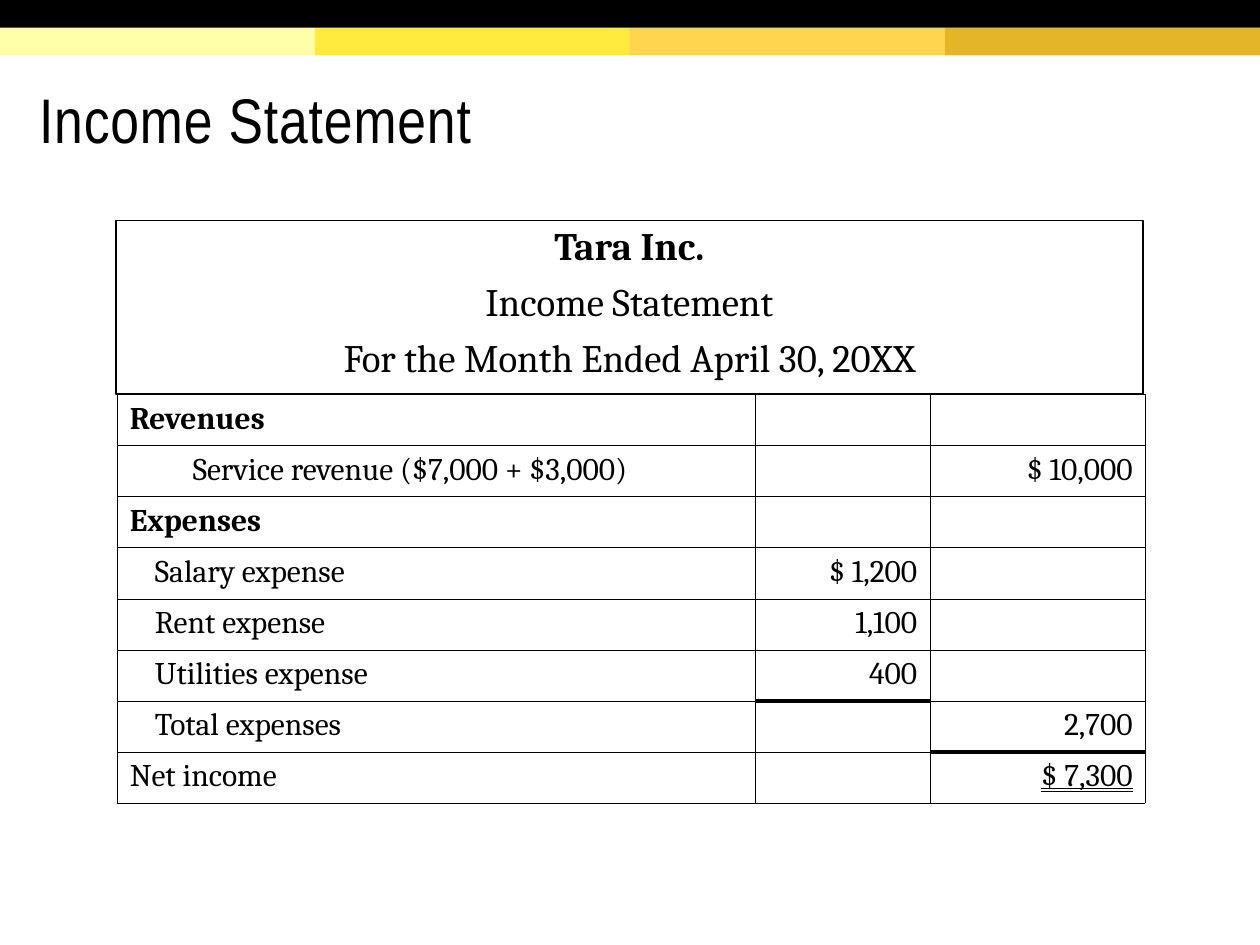
from lxml import etree
from pptx import Presentation
from pptx.dml.color import RGBColor
from pptx.enum.shapes import MSO_SHAPE
from pptx.enum.text import MSO_ANCHOR, MSO_UNDERLINE, PP_ALIGN
from pptx.oxml.ns import qn
from pptx.util import Inches, Pt

RECT = MSO_SHAPE.RECTANGLE
TOP, MIDDLE = MSO_ANCHOR.TOP, MSO_ANCHOR.MIDDLE
LEFT, CENTER, RIGHT = PP_ALIGN.LEFT, PP_ALIGN.CENTER, PP_ALIGN.RIGHT
DOUBLE = MSO_UNDERLINE.DOUBLE_LINE

BLACK = RGBColor(0x00, 0x00, 0x00)
BAND_COLORS = [RGBColor(0xFF, 0xFF, 0xAA), RGBColor(0xFF, 0xEA, 0x3D),
               RGBColor(0xFF, 0xD5, 0x4F), RGBColor(0xE4, 0xB4, 0x29)]
THIN, THICK = 0.25, 3


def write(p, text, size=18, font="Cambria", bold=False, underline=None,
          align=LEFT, indent=0, spacing=None, after=None):
    p.alignment = align
    if indent:
        p._p.get_or_add_pPr().set("marL", str(Inches(indent)))
    if spacing:
        p.line_spacing = spacing
    if after is not None:
        p.space_after = Pt(after)
    r = p.add_run()
    r.text = text
    r.font.size, r.font.name = Pt(size), font
    r.font.bold, r.font.underline = bold, underline
    r.font.color.rgb = BLACK
    return r


def set_borders(cell, top, bottom):
    tcPr = cell._tc.get_or_add_tcPr()
    for tag, width in (("lnL", THIN), ("lnR", THIN), ("lnT", top), ("lnB", bottom)):
        ln = etree.SubElement(tcPr, qn("a:" + tag), w=str(Pt(width)))
        fill = etree.SubElement(ln, qn("a:solidFill"))
        etree.SubElement(fill, qn("a:srgbClr"), val=str(BLACK))


prs = Presentation()
prs.slide_width, prs.slide_height = Inches(10), Inches(7.5)
s = prs.slides.add_slide(prs.slide_layouts[5])

# Colour bands across the top
bands = [(2.5 * i, 0.22, 2.5, color) for i, color in enumerate(BAND_COLORS)]
for left, top, width, color in bands + [(0, 0, 10, BLACK)]:
    sp = s.shapes.add_shape(RECT, Inches(left), Inches(top), Inches(width), Inches(0.22))
    sp.shadow.inherit = False
    sp.fill.solid()
    sp.fill.fore_color.rgb = color
    sp.line.fill.background()

# Title
title = s.shapes.title
title.left, title.top = Inches(0.21), Inches(0.47)
title.width, title.height = Inches(9.49), Inches(0.98)
tf = title.text_frame
tf.vertical_anchor = MIDDLE
tf.margin_left = tf.margin_right = tf.margin_top = Inches(0.1)
tf.margin_bottom = Inches(0.05)
r = write(tf.paragraphs[0], "Income Statement", size=36, font="Arial Narrow", spacing=0.85)
r.font._element.set("spc", "50")

# Statement heading
heading = s.shapes.add_shape(RECT, Inches(0.92), Inches(1.75), Inches(8.15), Inches(1.38))
heading.shadow.inherit = False
heading.fill.background()
heading.line.color.rgb = BLACK
heading.line.width = Pt(1)
tf = heading.text_frame
tf.word_wrap = True
tf.vertical_anchor = TOP
lines = ["Tara Inc.", "Income Statement", "For the Month Ended April 30, 20XX"]
for i, line in enumerate(lines):
    p = tf.add_paragraph() if i else tf.paragraphs[0]
    write(p, line, size=22.2, bold=i == 0, align=CENTER, spacing=0.9, after=8)

# Statement table: label, indent, detail amount, total amount
ROWS = [
    ("Revenues", 0, "", ""),
    ("Service revenue ($7,000 + $3,000)", 0.5, "", "$ 10,000"),
    ("Expenses", 0, "", ""),
    ("Salary expense", 0.2, "$ 1,200", ""),
    ("Rent expense", 0.2, "1,100", ""),
    ("Utilities expense", 0.2, "400", ""),
    ("Total expenses", 0.2, "", "2,700"),
    ("Net income", 0, "", "$ 7,300"),
]
HEADINGS = ("Revenues", "Expenses")
SUM_LINES = {(5, 1), (6, 2)}  # cells with a heavy rule below

table = s.shapes.add_table(len(ROWS), 3, Inches(0.93), Inches(3.13),
                           Inches(8.16), Inches(3.24)).table
table.first_row = table.horz_banding = False
for col, width in zip(table.columns, (5.06, 1.39, 1.71)):
    col.width = Inches(width)

for i, (label, indent, detail, total) in enumerate(ROWS):
    for j, text in enumerate((label, detail, total)):
        cell = table.cell(i, j)
        set_borders(cell, top=THICK if (i - 1, j) in SUM_LINES else THIN,
                    bottom=THICK if (i, j) in SUM_LINES else THIN)
        cell.fill.background()
        if text:
            write(cell.text_frame.paragraphs[0], text, bold=text in HEADINGS,
                  underline=DOUBLE if text == "$ 7,300" else None,
                  align=RIGHT if j else LEFT, indent=0 if j else indent)

prs.save("out.pptx")
